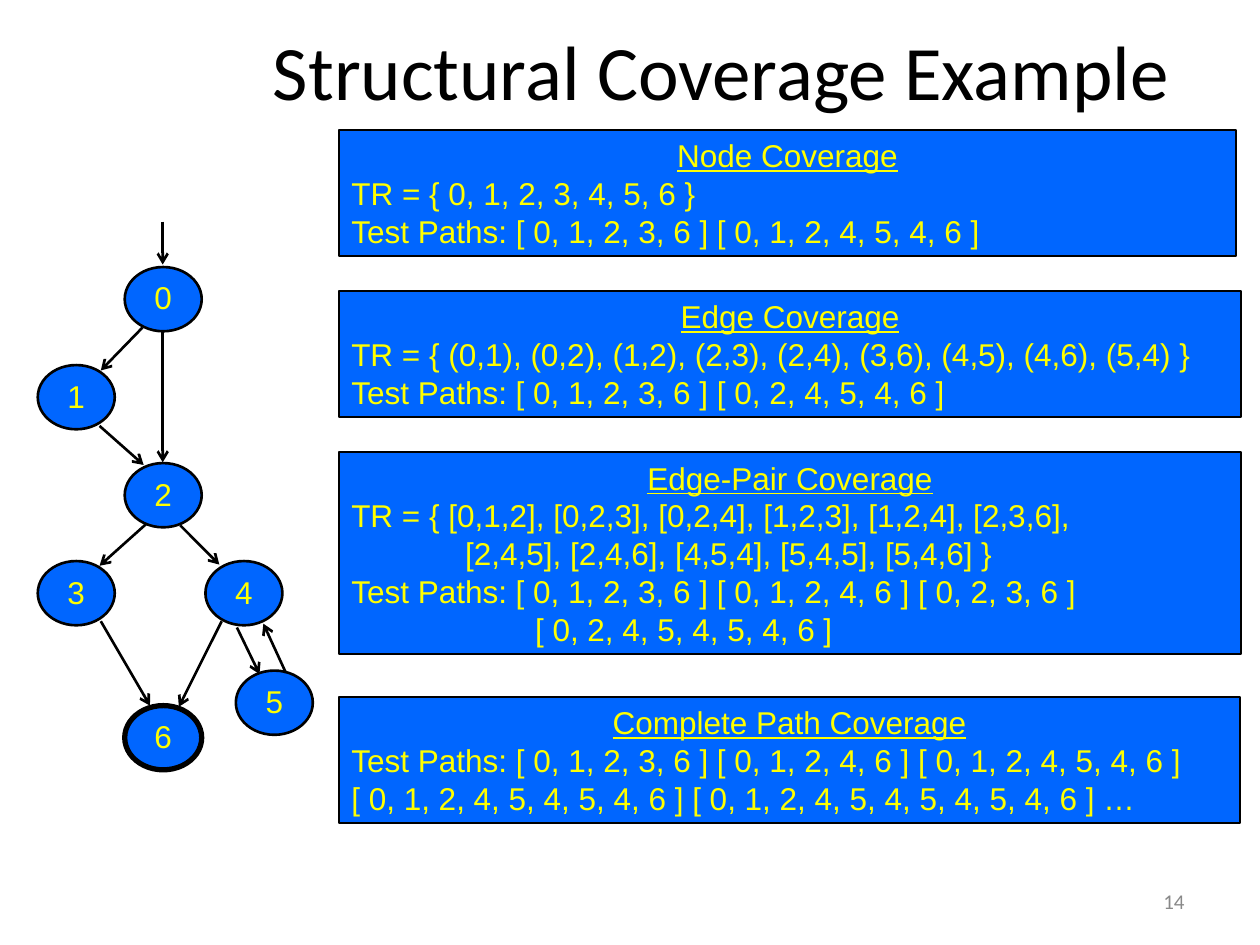
from lxml import etree
from pptx import Presentation
from pptx import util as u
from pptx.dml.color import RGBColor
from pptx.enum import shapes, text
from pptx.oxml.ns import qn

Pt = u.Pt
AL = text.PP_ALIGN


def rgb(code):
    return RGBColor.from_string(code)


def write(para, words, size=18, font="Arial", color="FFFF00", align=AL.LEFT,
          under=False, indent=0):
    if indent:
        para._p.get_or_add_pPr().set("marL", str(Pt(indent)))
    para.alignment = align
    run = para.add_run()
    run.text = words
    run.font.size, run.font.name = Pt(size), font
    run.font.color.rgb = rgb(color)
    if under:
        run.font.underline = True


class Deck:
    fill, ink = "0066FF", "000000"
    node_w, node_h = 44, 36.7

    def __init__(self):
        self.prs = Presentation()
        self.prs.slide_width, self.prs.slide_height = Pt(720), Pt(540)
        self.slide = self.prs.slides.add_slide(self.prs.slide_layouts[5])

    def title(self, words, x, y, w, h):
        box = self.slide.shapes.title
        box.left, box.top, box.width, box.height = map(Pt, (x, y, w, h))
        box.text_frame.vertical_anchor = text.MSO_ANCHOR.MIDDLE
        write(box.text_frame.paragraphs[0], words, size=44, font="Calibri",
              color=self.ink, align=AL.CENTER)

    def label(self, words, x, y, w, h, **form):
        frame = self.slide.shapes.add_textbox(*map(Pt, (x, y, w, h))).text_frame
        frame.word_wrap = True
        frame.vertical_anchor = text.MSO_ANCHOR.MIDDLE
        write(frame.paragraphs[0], words, **form)

    def shape(self, kind, x, y, w, h, line):
        shape = self.slide.shapes.add_shape(kind, *map(Pt, (x, y, w, h)))
        shape.shadow.inherit = False
        shape.fill.solid()
        shape.fill.fore_color.rgb = rgb(self.fill)
        shape.line.color.rgb = rgb(self.ink)
        shape.line.width = Pt(line)
        return shape

    def panel(self, y, w, h, head, lines):
        frame = self.shape(shapes.MSO_SHAPE.RECTANGLE, 193.7, y, w, h, 1).text_frame
        frame.word_wrap = True
        frame.vertical_anchor = text.MSO_ANCHOR.TOP
        write(frame.paragraphs[0], head, align=AL.CENTER, under=True)
        for words, indent in lines:
            write(frame.add_paragraph(), words, indent=indent)

    def node(self, name, x, y, line=1.5):
        frame = self.shape(shapes.MSO_SHAPE.OVAL, x, y, self.node_w,
                           self.node_h, line).text_frame
        frame.margin_left = frame.margin_right = 0
        frame.margin_top, frame.margin_bottom = 0, Pt(2)
        frame.word_wrap = False
        frame.vertical_anchor = text.MSO_ANCHOR.MIDDLE
        write(frame.paragraphs[0], name, align=AL.CENTER)

    def arrow(self, *ends):
        line = self.slide.shapes.add_connector(
            shapes.MSO_CONNECTOR.STRAIGHT, *map(Pt, ends))
        line.line.color.rgb = rgb(self.ink)
        line.line.width = Pt(1.5)
        etree.SubElement(line.line._get_or_add_ln(), qn("a:tailEnd"), type="arrow")
        etree.SubElement(line._element.spPr, qn("a:effectLst"))


def main():
    deck = Deck()
    deck.title("Structural Coverage Example", 140.4, 11.5, 543.6, 56.9)
    deck.label("14", 516, 500.4, 168, 28.8, size=12, font="Calibri",
               color="898989", align=AL.RIGHT)

    # Coverage panels: top, width, height, heading, lines with indents
    panels = [
        (74.2, 512.6, 72, "Node Coverage", [
            ("TR = { 0, 1, 2, 3, 4, 5, 6 }", 0),
            ("Test Paths: [ 0, 1, 2, 3, 6 ] [ 0, 1, 2, 4, 5, 4, 6 ]", 0)]),
        (166.3, 515.5, 72, "Edge Coverage", [
            ("TR = { (0,1), (0,2), (1,2), (2,3), (2,4), (3,6), (4,5), (4,6), (5,4) }", 0),
            ("Test Paths: [ 0, 1, 2, 3, 6 ] [ 0, 2, 4, 5, 4, 6 ]", 0)]),
        (258.5, 515.5, 115.2, "Edge-Pair Coverage", [
            ("TR = { [0,1,2], [0,2,3], [0,2,4], [1,2,3], [1,2,4], [2,3,6],", 0),
            ("[2,4,5], [2,4,6], [4,5,4], [5,4,5], [5,4,6] }", 65),
            ("Test Paths: [ 0, 1, 2, 3, 6 ] [ 0, 1, 2, 4, 6 ] [ 0, 2, 3, 6 ]", 0),
            ("[ 0, 2, 4, 5, 4, 5, 4, 6 ]", 105)]),
        (398.2, 514.8, 72, "Complete Path Coverage", [
            ("Test Paths: [ 0, 1, 2, 3, 6 ] [ 0, 1, 2, 4, 6 ] [ 0, 1, 2, 4, 5, 4, 6 ] "
             "[ 0, 1, 2, 4, 5, 4, 5, 4, 6 ] [ 0, 1, 2, 4, 5, 4, 5, 4, 5, 4, 6 ] …", 0)]),
    ]
    for panel in panels:
        deck.panel(*panel)

    # Graph nodes; the final node has a heavy outline
    left, mid, row, gap = 21.6, 71.3, 152.6, 56
    deck.node("0", mid, row)
    deck.node("1", left, row + gap)
    deck.node("2", mid, row + 2 * gap)
    deck.node("3", left, row + 3 * gap)
    deck.node("4", 117.4, row + 3 * gap)
    deck.node("5", 134.8, 383.2)
    deck.node("6", mid, 403.2, line=3)

    # Graph edges
    edges = [
        (93, 126.7, 93, 151.2),         # entry
        (81.4, 187.2, 57.6, 211.7),     # 0 to 1
        (93, 190, 93, 264.2),           # 0 to 2
        (56.9, 243.4, 82.1, 265.7),     # 1 to 2
        (83.5, 299.5, 56.9, 323.3),     # 2 to 3
        (103, 300.2, 125.3, 322.6),     # 2 to 4
        (57.6, 355, 85.7, 403.2),       # 3 to 6
        (126.7, 355, 102.2, 403.9),     # 4 to 6
        (135.4, 358.6, 148.3, 385.2),   # 4 to 5
        (163.4, 384.5, 150.5, 356.4),   # 5 to 4
    ]
    for edge in edges:
        deck.arrow(*edge)

    deck.prs.save("out.pptx")


if __name__ == "__main__":
    main()
